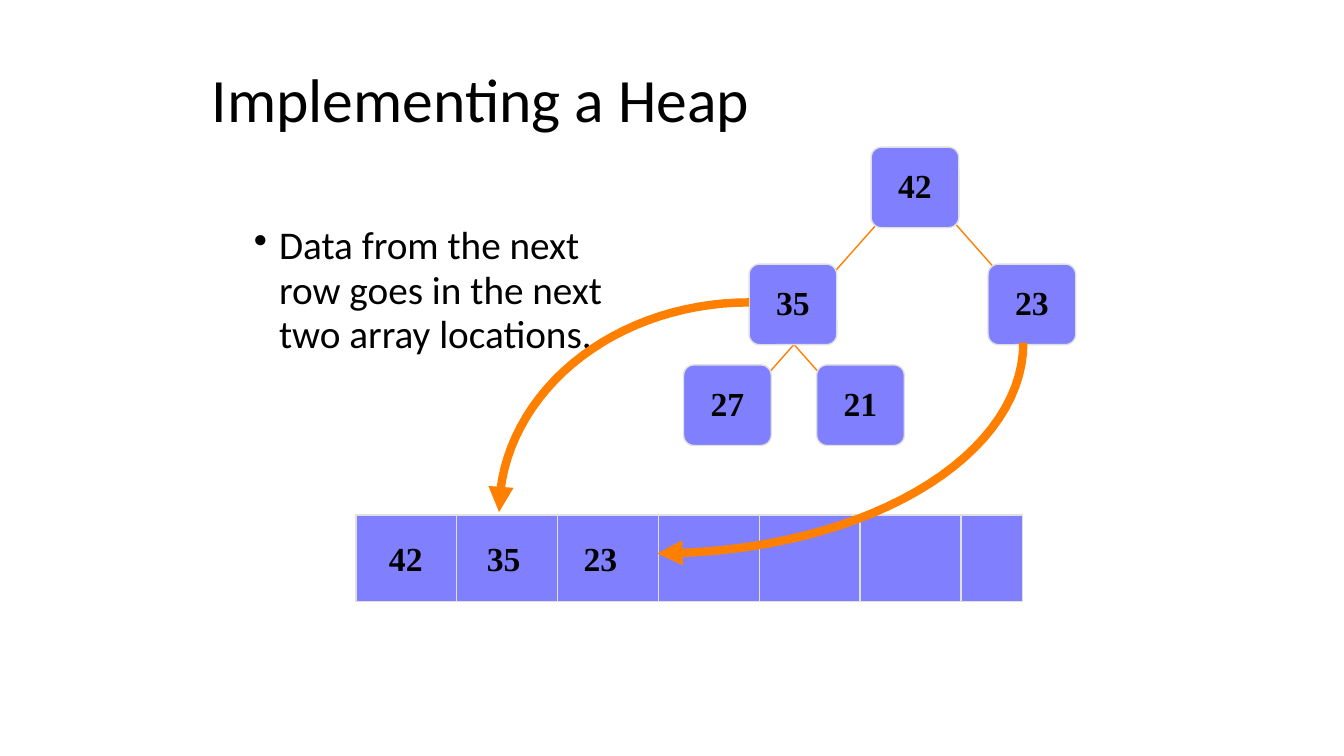
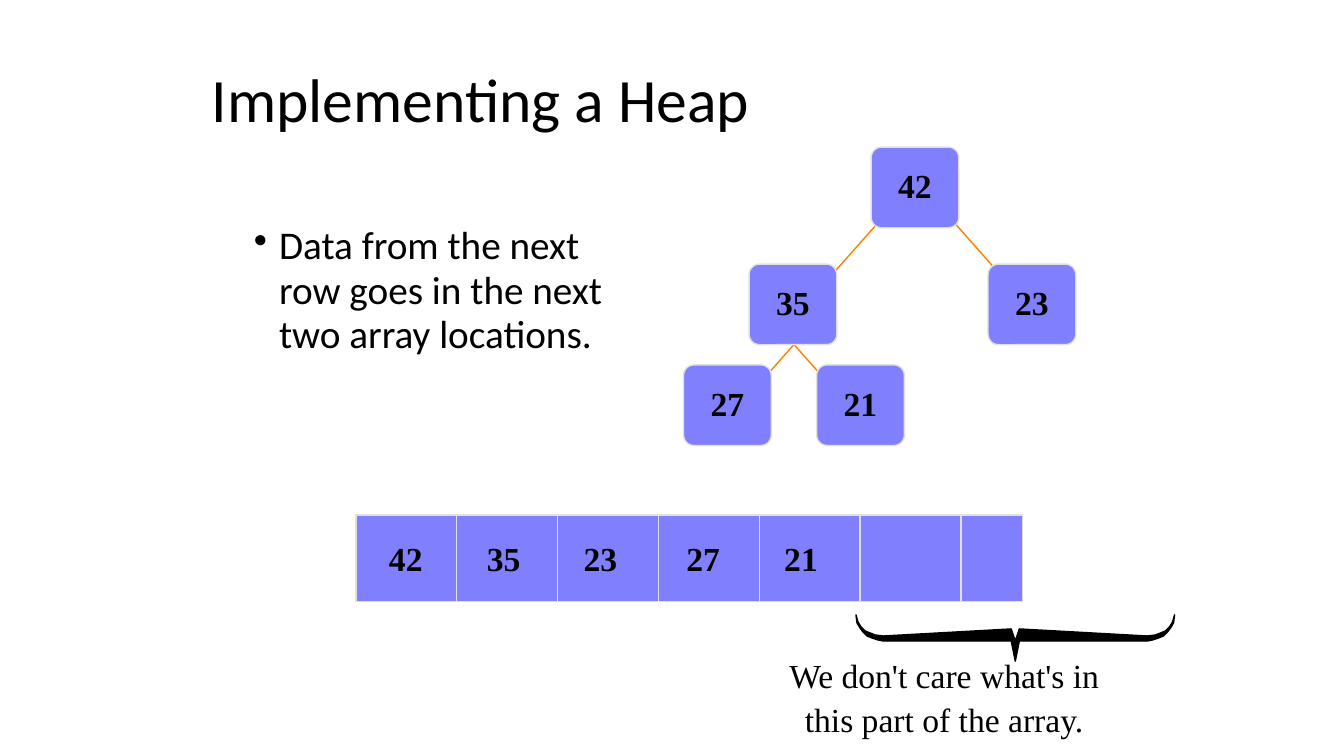
"""Build two slides on storing a heap in an array."""
import math
from pptx import Presentation, util as u
from pptx.dml.color import RGBColor
from pptx.enum import shapes as sh, text as tx
from pptx.oxml import parse_xml
from pptx.oxml.ns import nsdecls

INK = {"cell": "8080FF", "edge": "E0E0E0", "link": "FF8000", "text": "000000"}
THIN, THICK = 1, 6
LEFT, MID = tx.PP_ALIGN.LEFT, tx.PP_ALIGN.CENTER
HEAD = {"size": u.Pt(44), "name": "Calibri", "bold": False}
BODY = {"size": u.Pt(28), "name": "Calibri", "bold": False}
NOTE = {"size": u.Pt(24), "name": "Times New Roman", "bold": False}
VALUE = {**NOTE, "bold": True}

NODES = [("42", 8.64, 1.46), ("35", 7.43, 2.62), ("23", 9.8, 2.62),
         ("27", 6.78, 3.62), ("21", 8.1, 3.62)]
LINKS = [(8.7, 2.22, -1), (9.43, 2.17, 1), (8.05, 3.22, -1), (7.7, 3.22, 1)]
SLOTS = [3.76, 4.73, 5.69, 6.71, 7.68]
ROW = {"left": 3.53, "top": 5.11, "width": 6.61, "height": 0.86}
BRACE = [(0, 6.56), (0.04, 6.36), (1.31, 6.36), (1.36, 6.35), (1.42, 6.33),
         (1.47, 6.31), (1.51, 6.27), (1.54, 6.23), (1.57, 6.18), (1.58, 6.1),
         (1.56, 6.17), (1.53, 6.22), (1.49, 6.26), (1.44, 6.28), (1.39, 6.3),
         (1.31, 6.31), (0.04, 6.24), (0, 6.36)]


def inches(*nums):
    return [u.Inches(num) for num in nums]


def color(key):
    return RGBColor.from_string(INK[key])


def paint(shape, fill, line, width=THIN):
    shape.shadow.inherit = False
    if fill:
        shape.fill.solid()
        shape.fill.fore_color.rgb = color(fill)
    else:
        shape.fill.background()
    shape.line.color.rgb = color(line)
    shape.line.width = u.Pt(width)


def write(shape, words, font, align=LEFT, anchor=tx.MSO_ANCHOR.TOP,
          wrap=True, space=0.95):
    frame = shape.text_frame
    frame.text = words
    form = {"word_wrap": wrap, "vertical_anchor": anchor,
            "auto_size": tx.MSO_AUTO_SIZE.NONE}
    for key, val in form.items():
        setattr(frame, key, val)
    for para in frame.paragraphs:
        para.alignment = align
        para.line_spacing = space
        for run in para.runs:
            for key, val in font.items():
                setattr(run.font, key, val)
            run.font.color.rgb = color("text")
    return frame


def box(slide, place, words, font, **form):
    return write(slide.shapes.add_textbox(*inches(*place)), words, font, **form)


def line(slide, ends, key):
    link = slide.shapes.add_connector(sh.MSO_CONNECTOR.STRAIGHT, *inches(*ends))
    link.line.color.rgb = color(key)
    link.line.width = u.Pt(THIN)
    link._element.spPr.append(parse_xml(f"<a:effectLst {nsdecls('a')}/>"))


def outline(slide, points, close):
    spots = [inches(*point) for point in points]
    build = slide.shapes.build_freeform(*spots[0])
    build.add_line_segments(spots[1:], close=close)
    return build.convert_to_shape()


def arrow(slide, center, radii, start, end, steps=30):
    turns = [math.radians(start + (end - start) * i / steps)
             for i in range(steps + 1)]
    points = [(center[0] + radii[0] * math.cos(turn),
               center[1] + radii[1] * math.sin(turn)) for turn in turns]
    curve = outline(slide, points, False)
    paint(curve, None, "link", THICK)
    curve.line._get_or_add_ln().append(
        parse_xml(f'<a:tailEnd {nsdecls("a")} type="triangle"/>'))


def bullet(slide, words):
    para = box(slide, (2.42, 2.17, 3.72, 4.5), words, BODY).paragraphs[0]
    para.space_before = u.Pt(7)
    props = para._p.get_or_add_pPr()
    props.set("marL", str(u.Inches(0.25)))
    props.set("indent", str(-u.Inches(0.25)))
    props.append(parse_xml(f'<a:buChar {nsdecls("a")} char="•"/>'))


def array(slide, values):
    row = slide.shapes.add_shape(sh.MSO_SHAPE.RECTANGLE, *inches(*ROW.values()))
    paint(row, "cell", "edge")
    for i in range(1, 7):
        x = ROW["left"] + i
        line(slide, (x, ROW["top"], x, ROW["top"] + ROW["height"]), "edge")
    for x, value in zip(SLOTS, values):
        box(slide, (x, 5.32, 0.53, 0.5), value, VALUE, wrap=False)


def tree(slide):
    for x, y, side in LINKS:
        line(slide, (x, y, x + side * 0.62, y + 0.7), "link")
    for value, x, y in NODES:
        node = slide.shapes.add_shape(sh.MSO_SHAPE.ROUNDED_RECTANGLE,
                                      *inches(x, y, 0.87, 0.8))
        node.adjustments[0] = 0.13
        paint(node, "cell", "edge")
        write(node, value, VALUE, MID, tx.MSO_ANCHOR.MIDDLE)


def brace(slide, x=10.07):
    right = [(x + gap, y) for gap, y in BRACE]
    left = [(x - gap, y) for gap, y in reversed(BRACE)]
    paint(outline(slide, right + left[1:-1], True), "text", "text")


def heap(deck, count):
    slide = deck.slides.add_slide(deck.slide_layouts[5])
    title = slide.shapes.title
    spots = zip(("left", "top", "width", "height"), inches(2, 0.38, 8.5, 1.25))
    for key, val in spots:
        setattr(title, key, val)
    write(title, "Implementing a Heap", HEAD, anchor=tx.MSO_ANCHOR.MIDDLE)
    bullet(slide, "Data from the next row goes in the next two array locations.")
    array(slide, [node[0] for node in NODES[:count]])
    tree(slide)
    return slide


def main():
    deck = Presentation()
    deck.slide_width, deck.slide_height = inches(13.33, 7.5)
    moves = heap(deck, 3)
    arrow(moves, (7.43, 5.08), (2.48, 2.08), 270, 180)
    arrow(moves, (6.52, 3.4), (3.63, 2.09), 0, 90)
    rest = heap(deck, 5)
    brace(rest)
    note = box(rest, (7.26, 6.48, 4.21, 0.9),
               "We don't care what's in\nthis part of the array.",
               NOTE, align=MID, space=0.93)
    note.paragraphs[1].line_spacing = 1.0
    note.paragraphs[1].space_before = u.Pt(2)
    deck.save("out.pptx")


main()
